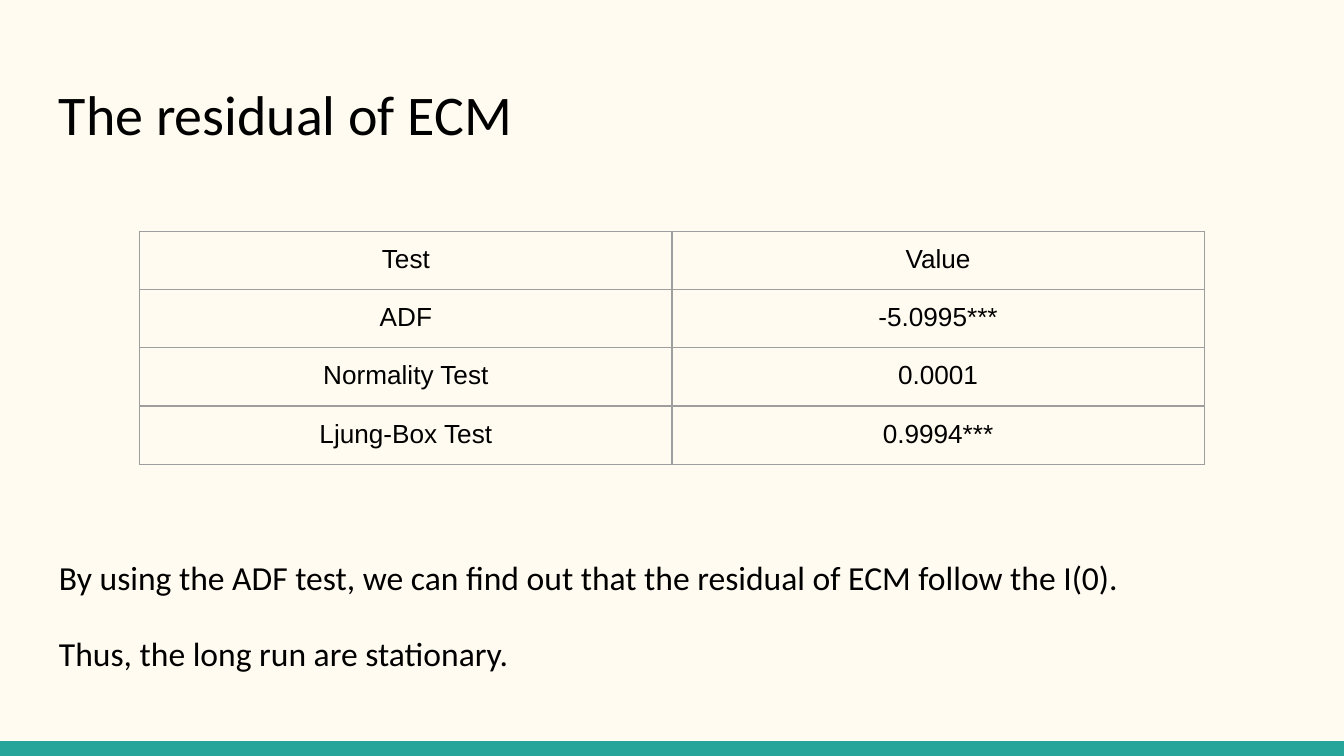
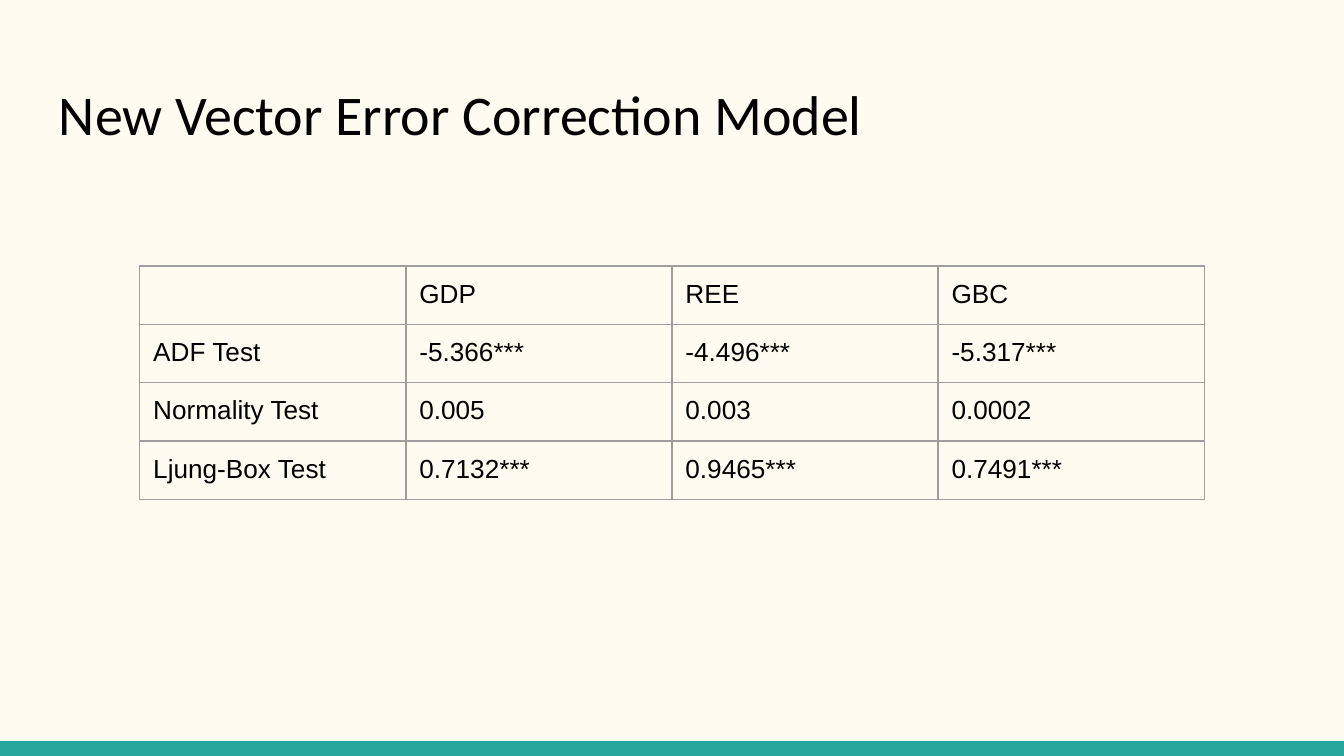
import dataclasses

import lxml.etree
import pptx
import pptx.dml.color
import pptx.enum.shapes
import pptx.enum.text
import pptx.oxml.ns
import pptx.util

Inches, Pt = pptx.util.Inches, pptx.util.Pt
ALIGN = pptx.enum.text.PP_ALIGN
qn = pptx.oxml.ns.qn


@dataclasses.dataclass(frozen=True)
class Theme:
    background: str = "FFFBF0"
    band: str = "26A69A"
    text: str = "000000"
    border: str = "9E9E9E"
    text_font: str = "Calibri"
    table_font: str = "Arial"
    title_size: int = 30
    body_size: int = 18
    table_size: int = 14
    border_width: float = 0.75


THEME = Theme()

SLIDES = [
    {
        "title": "The residual of ECM",
        "table_top": 1.72,
        "table_align": ALIGN.CENTER,
        "table": [
            ("Test", "Value"),
            ("ADF", "-5.0995***"),
            ("Normality Test", "0.0001"),
            ("Ljung-Box Test", "0.9994***"),
        ],
        "conclusions": [
            "By using the ADF test, we can find out that the residual of ECM follow the I(0).",
            "Thus, the long run are stationary.",
        ],
    },
    {
        "title": "New Vector Error Correction Model",
        "table_top": 1.98,
        "table_align": ALIGN.LEFT,
        "table": [
            ("", "GDP", "REE", "GBC"),
            ("ADF Test", "-5.366***", "-4.496***", "-5.317***"),
            ("Normality Test", "0.005", "0.003", "0.0002"),
            ("Ljung-Box Test", "0.7132***", "0.9465***", "0.7491***"),
        ],
        "conclusions": [],
    },
]

SLIDE_WIDTH, SLIDE_HEIGHT = 10, 5.625
BAND_HEIGHT = 0.11
TEXT_LEFT = 0.34
TITLE_TOP, TITLE_HEIGHT = 0.49, 0.67
CONCLUSIONS_TOP, CONCLUSIONS_HEIGHT = 4, 1
TABLE_LEFT, ROW_HEIGHT = 1.04, 0.42
INSET = 0.1


def rgb(code):
    return pptx.dml.color.RGBColor.from_string(code)


def set_insets(holder):
    """Give a text frame or table cell the same inset on all four sides."""
    holder.margin_left = holder.margin_right = Inches(INSET)
    holder.margin_top = holder.margin_bottom = Inches(INSET)


def add_run(paragraph, text, font, size):
    run = paragraph.add_run()
    run.text = text
    run.font.name = font
    run.font.size = Pt(size)
    run.font.color.rgb = rgb(THEME.text)


def add_band(slide):
    band = slide.shapes.add_shape(
        pptx.enum.shapes.MSO_SHAPE.RECTANGLE,
        0, Inches(SLIDE_HEIGHT - BAND_HEIGHT), Inches(SLIDE_WIDTH), Inches(BAND_HEIGHT))
    band.shadow.inherit = False
    band.fill.solid()
    band.fill.fore_color.rgb = rgb(THEME.band)
    band.line.fill.background()


def add_text(slide, top, height, lines, size, line_spacing=1.0, gap=0):
    """Add a full-width text box; gap is the space around later paragraphs."""
    box = slide.shapes.add_textbox(
        Inches(TEXT_LEFT), Inches(top), Inches(SLIDE_WIDTH - 2 * TEXT_LEFT), Inches(height))
    frame = box.text_frame
    frame.word_wrap = True
    set_insets(frame)
    for index, line in enumerate(lines):
        paragraph = frame.add_paragraph() if index else frame.paragraphs[0]
        paragraph.line_spacing = line_spacing
        if index:
            paragraph.space_before = paragraph.space_after = Pt(gap)
        add_run(paragraph, line, THEME.text_font, size)


def draw_borders(cell):
    properties = cell._tc.get_or_add_tcPr()
    for side in ("a:lnL", "a:lnR", "a:lnT", "a:lnB"):
        line = lxml.etree.SubElement(properties, qn(side), w=str(Pt(THEME.border_width)))
        fill = lxml.etree.SubElement(line, qn("a:solidFill"))
        lxml.etree.SubElement(fill, qn("a:srgbClr"), val=THEME.border)


def fill_cell(cell, text, align):
    set_insets(cell)
    draw_borders(cell)
    cell.fill.background()
    paragraph = cell.text_frame.paragraphs[0]
    paragraph.alignment = align
    if text:
        add_run(paragraph, text, THEME.table_font, THEME.table_size)
    else:  # an empty cell must not stretch its row
        lxml.etree.SubElement(
            paragraph._p, qn("a:endParaRPr"), sz=str(THEME.table_size * 100))


def add_test_table(slide, top, rows, align):
    table = slide.shapes.add_table(
        len(rows), len(rows[0]), Inches(TABLE_LEFT), Inches(top),
        Inches(SLIDE_WIDTH - 2 * TABLE_LEFT), Inches(ROW_HEIGHT * len(rows))).table
    table.first_row = table.horz_banding = False
    for row_index, row in enumerate(rows):
        for column_index, text in enumerate(row):
            fill_cell(table.cell(row_index, column_index), text, align)


def main():
    deck = pptx.Presentation()
    deck.slide_width, deck.slide_height = Inches(SLIDE_WIDTH), Inches(SLIDE_HEIGHT)
    background = deck.slide_master.background.fill
    background.solid()
    background.fore_color.rgb = rgb(THEME.background)
    for content in SLIDES:
        slide = deck.slides.add_slide(deck.slide_layouts[6])
        add_band(slide)
        add_text(slide, TITLE_TOP, TITLE_HEIGHT, [content["title"]], THEME.title_size)
        if content["conclusions"]:
            add_text(slide, CONCLUSIONS_TOP, CONCLUSIONS_HEIGHT, content["conclusions"],
                     THEME.body_size, line_spacing=1.15, gap=16)
        add_test_table(slide, content["table_top"], content["table"], content["table_align"])
    deck.save("out.pptx")


if __name__ == "__main__":
    main()
